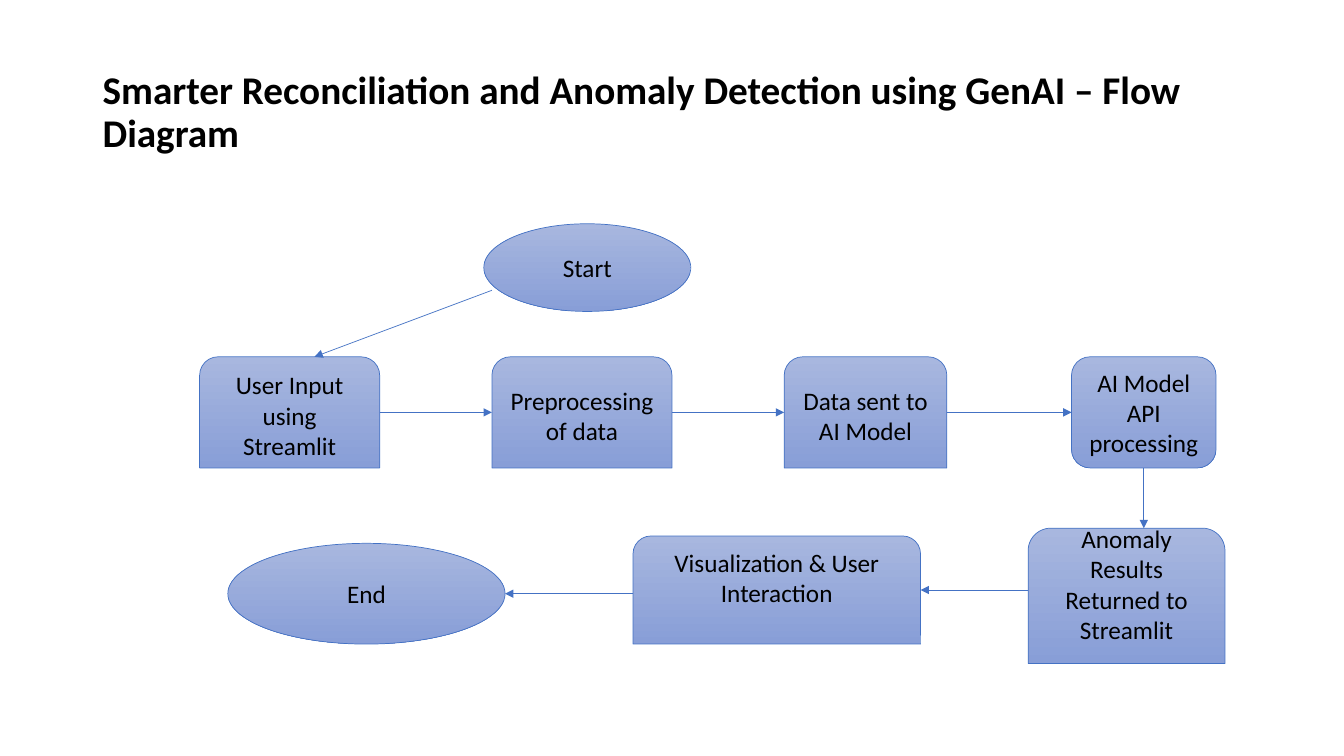
from lxml.etree import SubElement
from pptx import Presentation
from pptx.dml.color import RGBColor
from pptx.enum.shapes import MSO_CONNECTOR as Connector, MSO_SHAPE as Shape
from pptx.enum.text import MSO_ANCHOR as Anchor, PP_ALIGN as Align
from pptx.oxml.ns import qn
from pptx.util import Inches, Pt

WIDTH, HEIGHT = Inches(13.33), Inches(7.5)
BLUE, BLACK = "4472C4", "000000"
GRADIENT = ("A8B7DF", "889ED7")
STEP_LEFT, STEP_PITCH, STEP_TOP, STEP_HEIGHT = 14.85, 21.75, 47.2, 14.7
TOP, LEFT, BOTTOM, RIGHT = range(4)


def color(value):
    return RGBColor.from_string(value)


def across(percent):
    return round(WIDTH * percent / 100)


def down(percent):
    return round(HEIGHT * percent / 100)


def place(box):
    """Turn left, top, width, height in percent of the slide into lengths."""
    left, top, width, height = box
    return across(left), down(top), across(width), down(height)


def write(shape, text, size, align, bold=False, spacing=1.0):
    frame = shape.text_frame
    frame.word_wrap = True
    frame.vertical_anchor = Anchor.MIDDLE
    paragraph = frame.paragraphs[0]
    paragraph.alignment = align
    paragraph.line_spacing = spacing
    run = paragraph.add_run()
    run.text = text
    for name, value in {"name": "Calibri", "size": Pt(size), "bold": bold}.items():
        setattr(run.font, name, value)
    run.font.color.rgb = color(BLACK)


def add_title(slide, text, box):
    write(slide.shapes.add_textbox(*place(box)), text, 28, Align.LEFT, True, 0.9)


def add_node(slide, kind, text, box, lift=0):
    """Draw one flow step; lift raises its text by extra bottom margin."""
    shape = slide.shapes.add_shape(kind, *place(box))
    shape.shadow.inherit = False
    shape.fill.gradient()
    shape.fill.gradient_angle = 270
    for stop, value in zip(shape.fill.gradient_stops, GRADIENT):
        stop.color.rgb = color(value)
    shape.line.color.rgb = color(BLUE)
    shape.line.width = Pt(0.5)
    write(shape, text, 18, Align.CENTER)
    shape.text_frame.margin_bottom = Inches(0.05 + lift)
    return shape


def add_arrow(slide, start, end):
    arrow = slide.shapes.add_connector(Connector.STRAIGHT, *start, *end)
    arrow.line.color.rgb = color(BLUE)
    arrow.line.width = Pt(0.5)
    SubElement(arrow.line._get_or_add_ln(), qn("a:tailEnd"), type="triangle")
    SubElement(arrow._element.spPr, qn("a:effectLst"))
    return arrow


def add_level_arrow(slide, source, target):
    """Run level with the target's middle, between the facing sides."""
    middle = target.top + target.height // 2
    if source.left < target.left:
        ends = source.left + source.width, target.left
    else:
        ends = source.left, target.left + target.width
    return add_arrow(slide, *((x, middle) for x in ends))


def main():
    presentation = Presentation()
    presentation.slide_width, presentation.slide_height = WIDTH, HEIGHT
    slide = presentation.slides.add_slide(presentation.slide_layouts[6])

    add_title(slide, "Smarter Reconciliation and Anomaly Detection using GenAI – Flow Diagram",
              (6.9, 5.33, 86.25, 19.33))

    # Upper row of steps
    add_node(slide, Shape.OVAL, "Start", (36, 29.6, 15.4, 11.6))
    steps = [("User Input using Streamlit", 13.4),
             ("Preprocessing of data", 13.4),
             ("Data sent to AI Model", 12.1)]
    row = [add_node(slide, Shape.ROUND_2_SAME_RECTANGLE, text,
                    (STEP_LEFT + column * STEP_PITCH, STEP_TOP, width, STEP_HEIGHT))
           for column, (text, width) in enumerate(steps)]
    processing = add_node(slide, Shape.ROUNDED_RECTANGLE, "AI Model API processing",
                          (79.73, STEP_TOP, 10.75, STEP_HEIGHT))

    # Lower row, read from right to left
    results = add_node(slide, Shape.ROUND_2_SAME_RECTANGLE,
                       "Anomaly Results Returned to Streamlit", (76.5, 69.87, 14.65, 17.9), 0.3)
    visualization = add_node(slide, Shape.ROUND_2_SAME_RECTANGLE,
                             "Visualization & User Interaction", (47.1, 70.9, 21.4, 14.3), 0.3)
    end = add_node(slide, Shape.OVAL, "End", (16.95, 71.87, 20.63, 13.33))

    # Arrows
    add_arrow(slide, (across(36.6), down(38.4)), (across(23.4), row[0].top))
    for source, target in [(row[0], row[1]), (row[1], row[2]),
                           (results, visualization), (visualization, end)]:
        add_level_arrow(slide, source, target)
    add_level_arrow(slide, row[2], processing).end_connect(processing, LEFT)
    center = processing.left + processing.width // 2
    drop = add_arrow(slide, (center, processing.top + processing.height), (center, results.top))
    drop.begin_connect(processing, BOTTOM)

    presentation.save("out.pptx")


if __name__ == "__main__":
    main()
